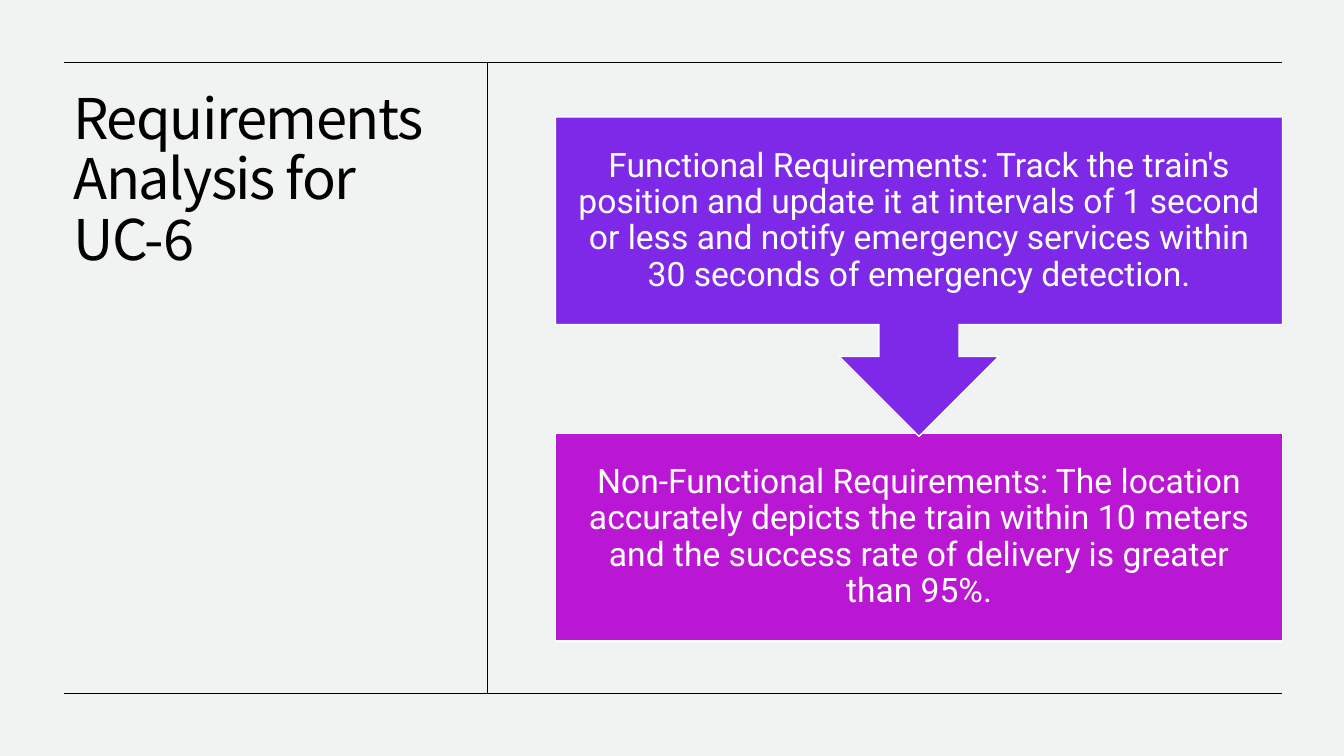
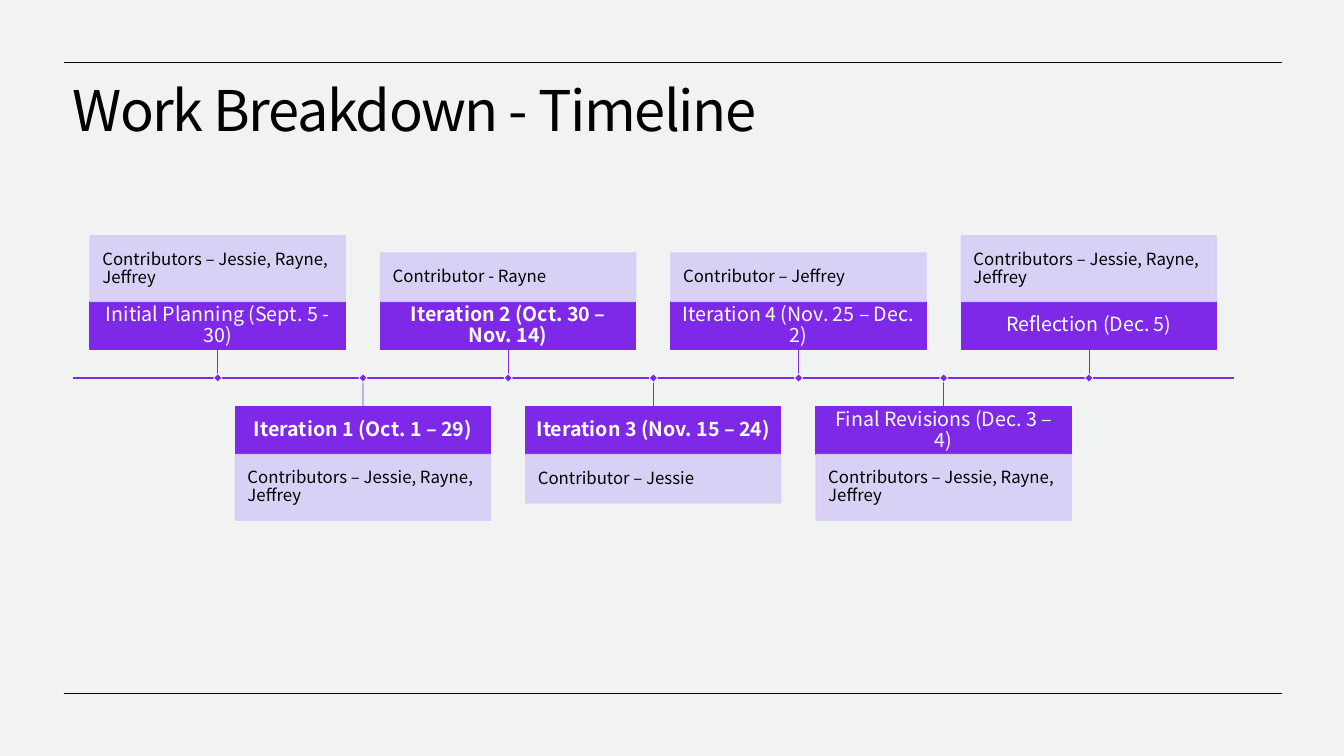
from lxml import etree
from pptx import Presentation
from pptx.dml.color import RGBColor
from pptx.enum import shapes, text
from pptx.oxml import ns
from pptx.util import Inches, Pt

# Shared style
PAPER, INK, WHITE = "F0F3F1", "000000", "FFFFFF"
VIOLET, MAGENTA, LILAC = "7D29E7", "BA17D5", "D7CDF6"
TITLE_FONT, BOX_FONT = "Noto Sans CJK KR", "Roboto"
LEFT, RIGHT, TOP, BOTTOM = 0.63, 12.72, 0.62, 6.88
RECTANGLE = shapes.MSO_SHAPE.RECTANGLE
CENTER, START = text.PP_ALIGN.CENTER, text.PP_ALIGN.LEFT


def color(value):
    return RGBColor.from_string(value)


def write(shape, words, font, size, ink, align, anchor, insets):
    frame = shape.text_frame
    frame.word_wrap = True
    frame.vertical_anchor = anchor
    frame.margin_left = frame.margin_right = Inches(insets[0])
    frame.margin_top = frame.margin_bottom = Inches(insets[1])
    paragraph = frame.paragraphs[0]
    paragraph.text = words
    paragraph.alignment = align
    paragraph.line_spacing = 0.9
    paragraph.font.name = font
    paragraph.font.size = Pt(size)
    paragraph.font.color.rgb = color(ink)
    return paragraph


def add_box(slide, box, fill, line, kind=RECTANGLE, width=1, opacity=None):
    shape = slide.shapes.add_shape(kind, *map(Inches, box))
    shape.shadow.inherit = False
    shape.fill.solid()
    shape.fill.fore_color.rgb = color(fill)
    shape.line.color.rgb = color(line)
    shape.line.width = Pt(width)
    if opacity:
        for element in shape._element.spPr.iter(ns.qn("a:srgbClr")):
            alpha = etree.SubElement(element, ns.qn("a:alpha"))
            alpha.set("val", str(opacity * 1000))
    return shape


def add_line(slide, x1, y1, x2, y2, ink, width=0.5):
    line = slide.shapes.add_connector(
        shapes.MSO_CONNECTOR.STRAIGHT, *map(Inches, (x1, y1, x2, y2)))
    line.line.color.rgb = color(ink)
    line.line.width = Pt(width)
    etree.SubElement(line._element.spPr, ns.qn("a:effectLst"))
    return line


def add_title(slide, words, box, anchor):
    title = slide.shapes.add_textbox(*map(Inches, box))
    paragraph = write(title, words, TITLE_FONT, 40, INK, START, anchor, (0.1, 0.05))
    paragraph.runs[0]._r.get_or_add_rPr().set("spc", "-100")


def add_ruled_slide(presentation):
    slide = presentation.slides.add_slide(presentation.slide_layouts[6])
    slide.background.fill.solid()
    slide.background.fill.fore_color.rgb = color(PAPER)
    for y in (TOP, BOTTOM):
        add_line(slide, LEFT, y, RIGHT, y, INK)
    return slide


# Requirements: title column and two stacked boxes
def add_flow(slide, box, first, second):
    left, top, width, height = box
    box_height, callout_height = 2.06, 3.17
    parts = (
        (second, RECTANGLE, top + height - box_height, box_height, MAGENTA),
        (first, shapes.MSO_SHAPE.DOWN_ARROW_CALLOUT, top, callout_height, VIOLET),
    )
    for words, kind, y, part_height, fill in parts:
        shape = add_box(slide, (left, y, width, part_height), fill, WHITE, kind)
        write(shape, words, BOX_FONT, 24, WHITE, CENTER,
              text.MSO_ANCHOR.MIDDLE, (0.19, 0.19))


def build_requirements(presentation):
    slide = add_ruled_slide(presentation)
    divider = 4.83
    add_title(slide, "Requirements Analysis for UC-6",
              (LEFT, TOP, divider - LEFT, 2.13), text.MSO_ANCHOR.BOTTOM)
    add_line(slide, divider, TOP, divider, BOTTOM, INK)
    add_flow(
        slide, (5.51, 1.16, 7.21, 5.2),
        "Functional Requirements: Track the train's position and update it at "
        "intervals of 1 second or less and notify emergency services within "
        "30 seconds of emergency detection.",
        "Non-Functional Requirements: The location accurately depicts the train "
        "within 10 meters and the success rate of delivery is greater than 95%.")


# Timeline: phases alternate above and below the axis
EVERYONE = "Contributors – Jessie, Rayne, Jeffrey"
PHASES = [  # heading, bold, contributors, height of contributors box
    ("Initial Planning (Sept. 5 - 30)", False, EVERYONE, 0.65),
    ("Iteration 1 (Oct. 1 – 29)", True, EVERYONE, 0.65),
    ("Iteration 2 (Oct. 30 – Nov. 14)", True, "Contributor - Rayne", 0.48),
    ("Iteration 3 (Nov. 15 – 24)", True, "Contributor – Jessie", 0.48),
    ("Iteration 4 (Nov. 25 – Dec. 2)", False, "Contributor – Jeffrey", 0.48),
    ("Final Revisions (Dec. 3 – 4)", False, EVERYONE, 0.65),
    ("Reflection (Dec. 5)", False, EVERYONE, 0.65),
]


def add_phase(slide, x, axis, above, phase):
    words, bold, contributors, detail_height = phase
    width, height, stem, marker = 2.53, 0.48, 0.28, 0.06
    left = x - width / 2
    if above:
        heading_top = axis - stem - height
        detail_top, side, stem_end = heading_top - detail_height, 2, axis - stem
    else:
        heading_top = stem_end = axis + stem
        detail_top, side = heading_top + height, 0

    heading = add_box(slide, (left, heading_top, width, height), VIOLET, VIOLET)
    paragraph = write(heading, words, TITLE_FONT, 14, WHITE, CENTER,
                      text.MSO_ANCHOR.MIDDLE, (0.08, 0.08))
    paragraph.font.bold = bold
    detail = add_box(slide, (left, detail_top, width, detail_height),
                     LILAC, LILAC, opacity=90)
    write(detail, contributors, TITLE_FONT, 12, INK, START,
          text.MSO_ANCHOR.MIDDLE, (0.12, 0.12))
    add_line(slide, x, stem_end, x, axis, VIOLET).begin_connect(heading, side)
    diamond = add_box(slide, (x - marker / 2, axis - marker / 2, marker, marker),
                      VIOLET, WHITE, width=0.5)
    diamond.rotation = 45


def add_timeline(slide, left, axis, width, phases):
    add_line(slide, left, axis, left + width, axis, VIOLET, 1)
    step = width / (len(phases) + 1)
    for index, phase in enumerate(phases):
        add_phase(slide, left + step * (index + 1), axis, index % 2 == 0, phase)


def build_timeline(presentation):
    slide = add_ruled_slide(presentation)
    add_title(slide, "Work Breakdown - Timeline", (0.62, 0.78, 12.08, 1.27),
              text.MSO_ANCHOR.TOP)
    add_timeline(slide, 0.72, 3.75, 11.52, PHASES)


def main():
    presentation = Presentation()
    presentation.slide_width = Inches(13.33)
    presentation.slide_height = Inches(7.5)
    build_requirements(presentation)
    build_timeline(presentation)
    presentation.save("out.pptx")


if __name__ == "__main__":
    main()
